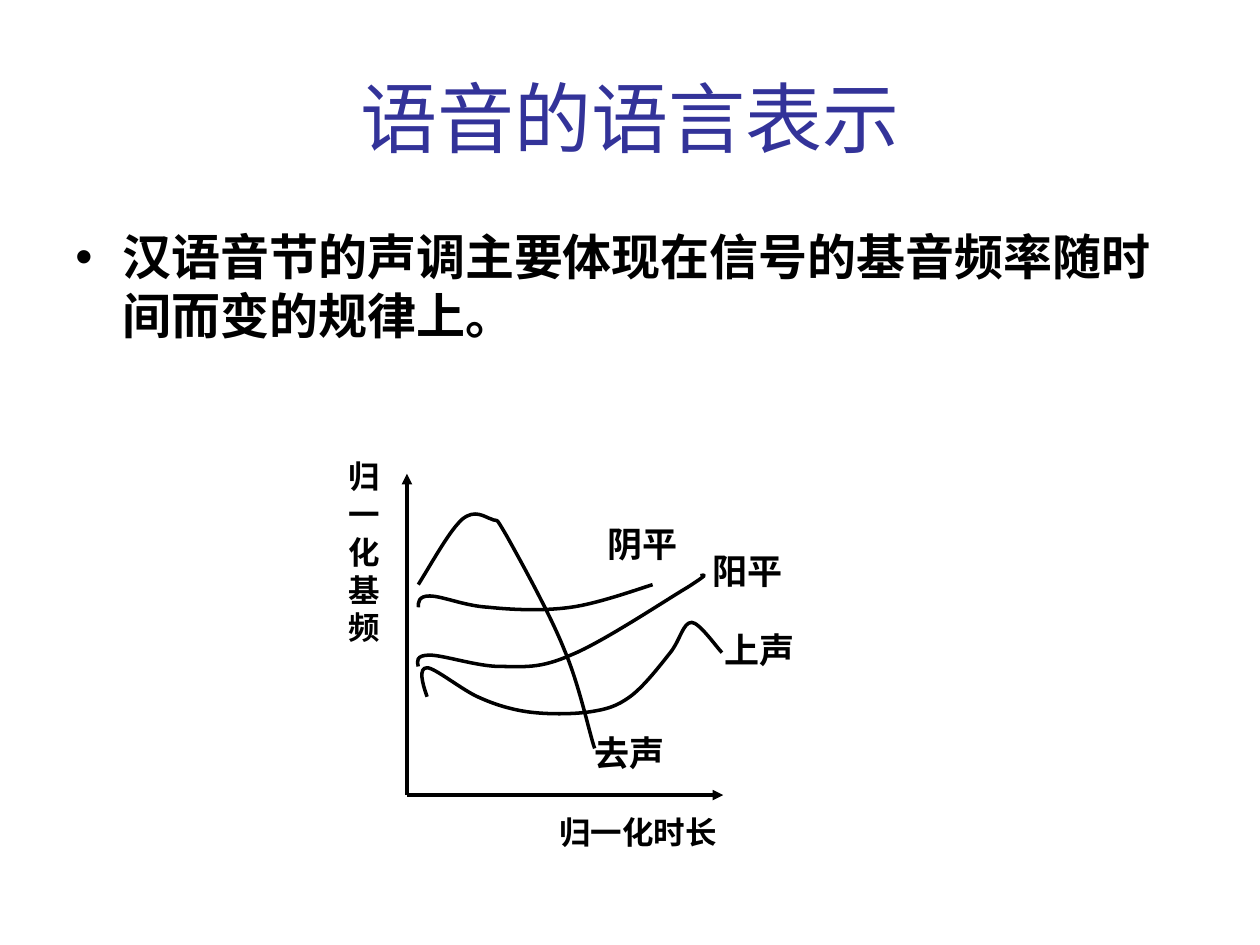
"""Build a slide on how pitch contours represent the Mandarin tones."""
from lxml import etree
from pptx import Presentation
from pptx.dml.color import RGBColor
from pptx.enum.lang import MSO_LANGUAGE_ID
from pptx.enum.shapes import MSO_CONNECTOR
from pptx.enum.text import MSO_ANCHOR, MSO_AUTO_SIZE, PP_ALIGN
from pptx.oxml.ns import qn
from pptx.util import Inches, Pt

STRAIGHT = MSO_CONNECTOR.STRAIGHT
MIDDLE = MSO_ANCHOR.MIDDLE
CENTER = PP_ALIGN.CENTER
GROW = MSO_AUTO_SIZE.SHAPE_TO_FIT_TEXT
CHINESE = MSO_LANGUAGE_ID.SIMPLIFIED_CHINESE

FONT, BLACK, BLUE = "Arial", "000000", "333399"

TITLE = "语音的语言表示"
BODY = "汉语音节的声调主要体现在信号的基音频率随时间而变的规律上。"

ORIGIN = (3.23, 6.31)
AXIS_TIPS = [(3.23, 3.76), (5.74, 6.31)]

TONES = [
    ("去声", (4.62, 5.76), (3.32, 4.64), [
        (3.45, 4.43), (3.57, 4.21), (3.67, 4.12),
        (3.77, 4.04), (3.84, 4.1), (3.9, 4.12),
        (3.96, 4.15), (3.92, 4.08), (4.02, 4.25),
        (4.12, 4.43), (4.37, 4.88), (4.48, 5.16),
        (4.6, 5.44), (4.68, 5.83), (4.72, 5.94)]),
    ("阴平", (4.72, 4.1), (3.32, 4.82), [
        (3.32, 4.78), (3.32, 4.73), (3.41, 4.73),
        (3.51, 4.73), (3.69, 4.81), (3.88, 4.82),
        (4.07, 4.84), (4.31, 4.85), (4.53, 4.82),
        (4.75, 4.79), (5.08, 4.67), (5.18, 4.64)]),
    ("阳平", (5.56, 4.31), (3.32, 5.29), [
        (3.31, 5.25), (3.3, 5.2), (3.41, 5.2),
        (3.52, 5.2), (3.79, 5.29), (3.97, 5.29),
        (4.16, 5.29), (4.28, 5.31), (4.53, 5.2),
        (4.78, 5.1), (5.29, 4.76), (5.46, 4.66),
        (5.63, 4.55), (5.6, 4.56), (5.56, 4.57)]),
    ("上声", (5.65, 4.94), (3.39, 5.53), [
        (3.35, 5.42), (3.32, 5.3), (3.39, 5.3),
        (3.45, 5.3), (3.66, 5.47), (3.79, 5.53),
        (3.92, 5.59), (4.05, 5.63), (4.19, 5.65),
        (4.34, 5.67), (4.54, 5.67), (4.68, 5.65),
        (4.81, 5.63), (4.89, 5.61), (5, 5.53),
        (5.11, 5.45), (5.24, 5.28), (5.32, 5.18),
        (5.4, 5.08), (5.42, 4.94), (5.49, 4.94),
        (5.55, 4.94), (5.69, 5.14), (5.73, 5.18)]),
]

AXIS_LABELS = [
    ("归一化时长", (4.34, 6.4, 1.46, 0.4), False),
    ("归一化基频", (2.67, 3.58, 0.47, 1.6), True),
]


def rgb(color):
    return RGBColor.from_string(color)


def add_text(shapes, text, box, size, color=BLACK, bold=True, wrap=True):
    tf = shapes.add_textbox(*map(Inches, box)).text_frame
    tf.word_wrap = wrap
    p = tf.paragraphs[0]
    r = p.add_run()
    r.text = text
    font = r.font
    font.name, font.size, font.bold = FONT, Pt(size), bold
    font.color.rgb = rgb(color)
    font.language_id = CHINESE
    return tf


def add_label(shapes, text, box, size, wrap=False):
    add_text(shapes, text, box, size, wrap=wrap).auto_size = GROW


def add_bullet(p, indent):
    pPr = p._p.get_or_add_pPr()
    pPr.set("marL", str(indent))
    pPr.set("indent", str(-indent))
    etree.SubElement(pPr, qn("a:buFont")).set("typeface", FONT)
    etree.SubElement(pPr, qn("a:buChar")).set("char", "•")


def style_line(line):
    line.color.rgb = rgb(BLACK)
    line.width = Pt(2)


def add_axis(shapes, tip):
    s = shapes.add_connector(STRAIGHT, *map(Inches, ORIGIN + tip))
    style_line(s.line)
    etree.SubElement(s.line._get_or_add_ln(), qn("a:tailEnd")).set("type", "triangle")
    etree.SubElement(s._element.spPr, qn("a:effectLst"))


def bend_lines(sp):
    lines = list(sp._element.iter(qn("a:lnTo")))
    for i in range(0, len(lines), 3):
        curve = etree.Element(qn("a:cubicBezTo"))
        lines[i].addprevious(curve)
        for line in lines[i:i + 3]:
            curve.append(line[0])
            line.getparent().remove(line)


def add_curve(shapes, start, points):
    builder = shapes.build_freeform(*map(Inches, start))
    builder.add_line_segments([tuple(map(Inches, pt)) for pt in points], close=False)
    sp = builder.convert_to_shape()
    bend_lines(sp)
    sp.shadow.inherit = False
    sp.fill.background()
    style_line(sp.line)


def main():
    prs = Presentation()
    prs.slide_width, prs.slide_height = Inches(10), Inches(7.5)
    shapes = prs.slides.add_slide(prs.slide_layouts[6]).shapes

    tf = add_text(shapes, TITLE, (0.5, 0.3, 9, 1.25), 44, BLUE, bold=False)
    tf.vertical_anchor = MIDDLE
    tf.paragraphs[0].alignment = CENTER

    p = add_text(shapes, BODY, (0.5, 1.75, 9, 4.95), 28).paragraphs[0]
    p.space_before = Pt(5.6)
    add_bullet(p, Pt(27))

    chart = shapes.add_group_shape().shapes
    for tip in AXIS_TIPS:
        add_axis(chart, tip)
    for _, _, start, points in TONES:
        add_curve(chart, start, points)
    for name, place, _, _ in TONES:
        add_label(chart, name, place + (0.76, 0.43), 20)
    for text, box, wrap in AXIS_LABELS:
        add_label(chart, text, box, 18, wrap)

    prs.save("out.pptx")


if __name__ == "__main__":
    main()
